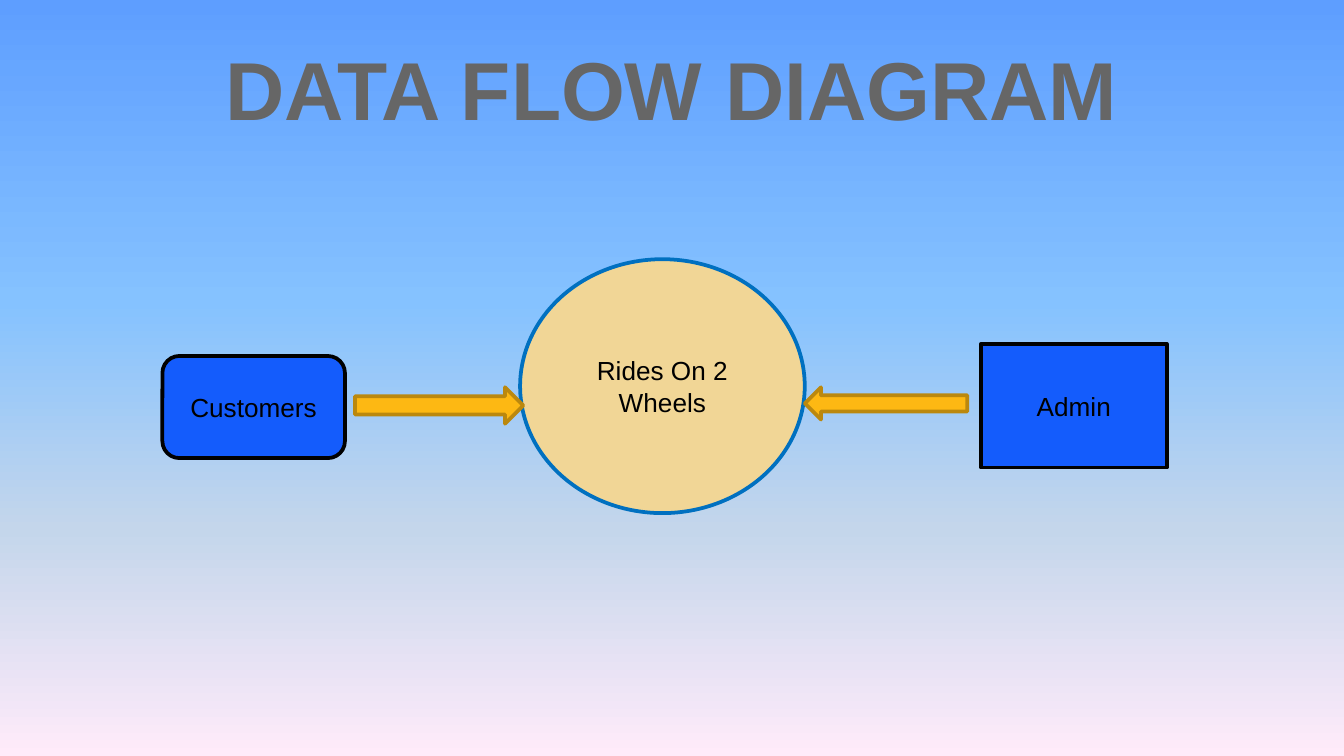
import pptx
import pptx.dml.color
import pptx.enum.shapes
import pptx.enum.text
import pptx.oxml
import pptx.oxml.ns
import pptx.util
from pptx.util import Cm

SHAPES = pptx.enum.shapes.MSO_SHAPE
COLOURS = {
    "title": "666666",
    "text": "000000",
    "entity": "145CFC",
    "entity_line": "000000",
    "process": "F1D696",
    "process_line": "0070C0",
    "flow": "FDB813",
    "flow_line": "BB880E",
}
SKY = {0: "5E9EFF", 40: "85C2FF", 70: "C4D6EB", 100: "FFEBFA"}


class DiagramSlide:
    """Holds the text and line style together with the slide being drawn."""

    font = "Arial"
    label_size = 14
    line_width = 2

    def __init__(self, slide):
        self.slide = slide

    def background(self, stops):
        """Fill the background from top to bottom; stops maps percent to colour."""
        fill = self.slide.background.fill
        fill.gradient()
        fill.gradient_angle = 270
        stop_list = self.slide.element.find(".//" + pptx.oxml.ns.qn("a:gsLst"))
        for old_stop in list(stop_list):
            stop_list.remove(old_stop)
        for percent, colour in stops.items():
            stop_list.append(pptx.oxml.parse_xml(
                f'<a:gs {pptx.oxml.ns.nsdecls("a")} pos="{percent * 1000}">'
                f'<a:srgbClr val="{colour}"/></a:gs>'))

    def label(self, frame, wording, size, colour, bold=False):
        frame.text = wording
        frame.word_wrap = True
        frame.vertical_anchor = pptx.enum.text.MSO_ANCHOR.MIDDLE
        paragraph = frame.paragraphs[0]
        paragraph.alignment = pptx.enum.text.PP_ALIGN.CENTER
        font = paragraph.runs[0].font
        font.name = self.font
        font.size = pptx.util.Pt(size)
        font.bold = bold
        font.color.rgb = pptx.dml.color.RGBColor.from_string(COLOURS[colour])

    def title(self, wording, left, top, width, height):
        heading = self.slide.shapes.add_textbox(
            Cm(left), Cm(top), Cm(width), Cm(height))
        self.label(heading.text_frame, wording, 44, "title", bold=True)

    def block(self, kind, role, left, top, width, height):
        """Draw an outlined shape in the fill and line colours of its role."""
        block = self.slide.shapes.add_shape(
            kind, Cm(left), Cm(top), Cm(width), Cm(height))
        block.shadow.inherit = False
        block.fill.solid()
        block.fill.fore_color.rgb = pptx.dml.color.RGBColor.from_string(COLOURS[role])
        block.line.color.rgb = pptx.dml.color.RGBColor.from_string(
            COLOURS[role + "_line"])
        block.line.width = pptx.util.Pt(self.line_width)
        return block

    def node(self, wording, kind, role, *box):
        node = self.block(kind, role, *box)
        self.label(node.text_frame, wording, self.label_size, "text")

    def flow(self, *box, rotation=0):
        self.block(SHAPES.RIGHT_ARROW, "flow", *box).rotation = rotation


def main():
    deck = pptx.Presentation()
    deck.slide_width = Cm(25.4)
    deck.slide_height = Cm(14.29)
    diagram = DiagramSlide(deck.slides.add_slide(deck.slide_layouts[6]))

    diagram.background(SKY)
    diagram.title("DATA FLOW DIAGRAM", 1.27, 1.14, 22.86, 1.04)
    diagram.node("Customers", SHAPES.ROUNDED_RECTANGLE, "entity",
                 3.07, 6.73, 3.45, 1.93)
    diagram.node("Rides On 2 Wheels", SHAPES.OVAL, "process",
                 9.83, 4.9, 5.38, 4.8)
    diagram.flow(6.71, 7.32, 3.18, 0.69)
    diagram.flow(15.21, 7.32, 3.07, 0.61, rotation=180)
    diagram.node("Admin", SHAPES.RECTANGLE, "entity", 18.54, 6.5, 3.51, 2.34)

    deck.save("out.pptx")


if __name__ == "__main__":
    main()
